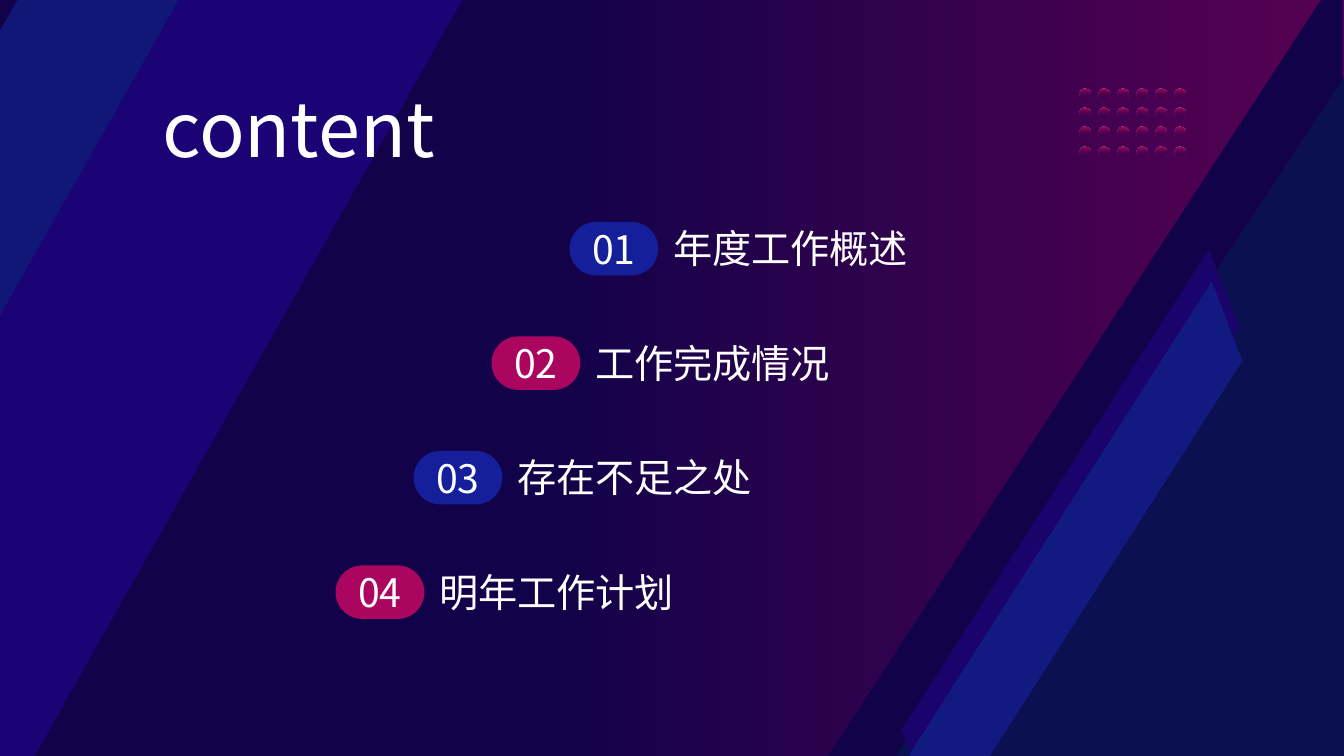
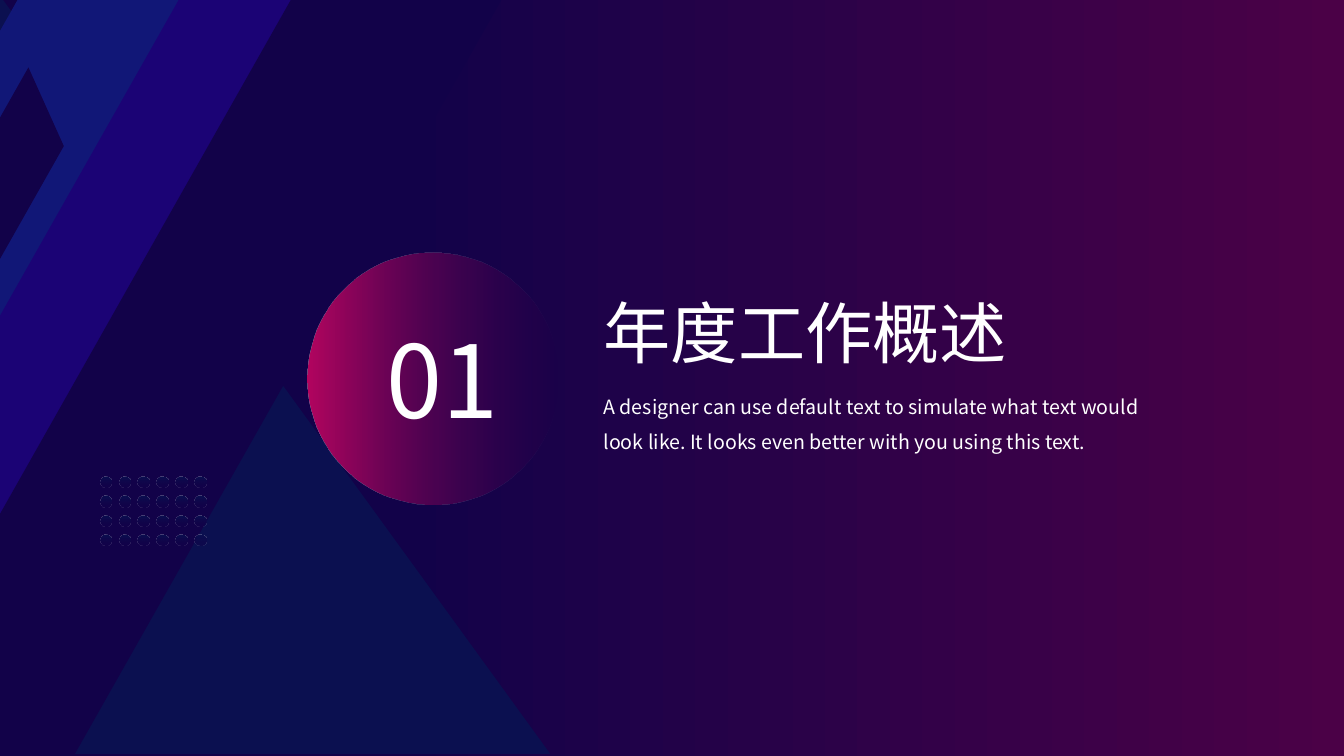
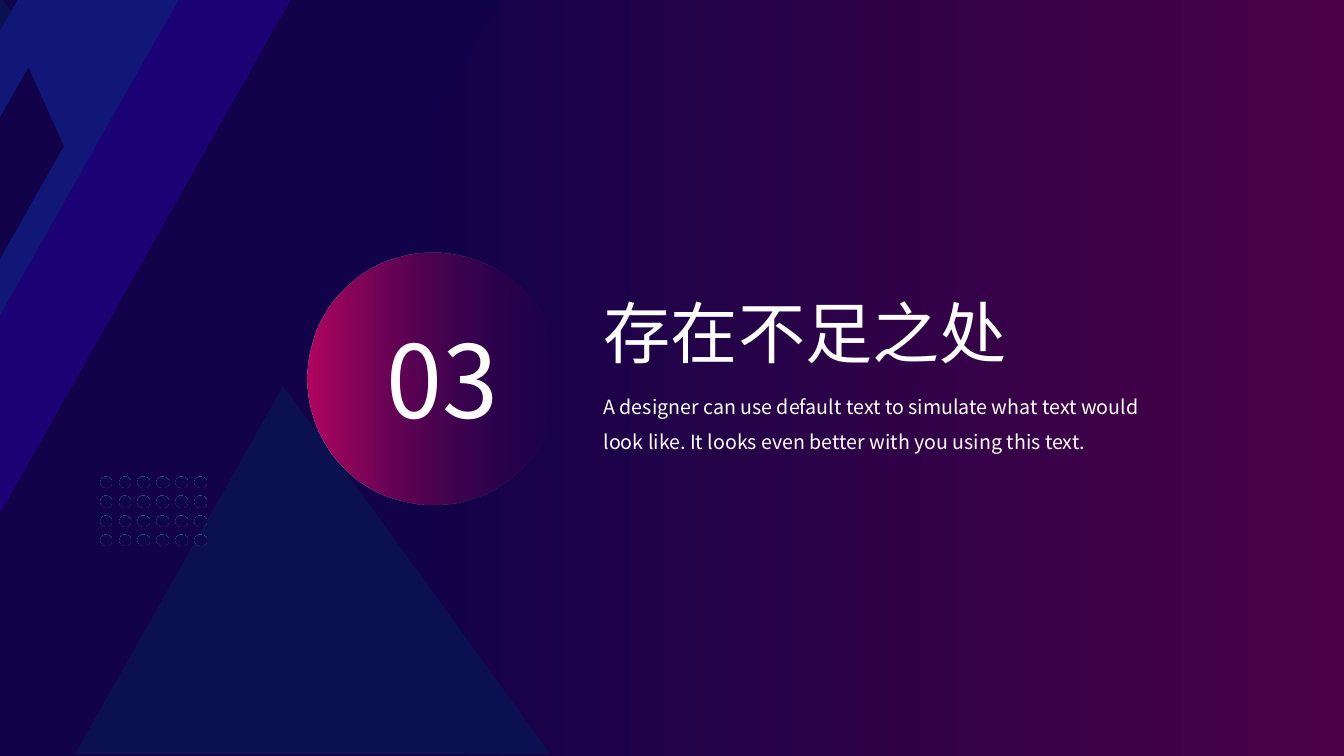
"""Build an agenda slide and two section slides for a yearly work report."""
from dataclasses import dataclass

from lxml import etree
from pptx import Presentation
from pptx.dml.color import RGBColor
from pptx.enum.shapes import MSO_SHAPE
from pptx.enum.text import MSO_ANCHOR, MSO_AUTO_SIZE, PP_ALIGN
from pptx.oxml.ns import qn
from pptx.util import Pt

RECT = MSO_SHAPE.RECTANGLE
PILL = MSO_SHAPE.ROUNDED_RECTANGLE
OVAL = MSO_SHAPE.OVAL
WEDGE = MSO_SHAPE.RIGHT_TRIANGLE
SLANT = MSO_SHAPE.PARALLELOGRAM
LEFT, CENTER = PP_ALIGN.LEFT, PP_ALIGN.CENTER
TOP, MIDDLE = MSO_ANCHOR.TOP, MSO_ANCHOR.MIDDLE
GROW = MSO_AUTO_SIZE.SHAPE_TO_FIT_TEXT


@dataclass(frozen=True)
class Theme:
    font: str = "Noto Sans CJK SC"
    white: str = "FFFFFF"
    night: str = "120249"
    navy: str = "0B1050"
    steel: str = "111777"
    violet: str = "1B0375"
    plum: str = "1A036B"
    cobalt: str = "121981"
    blue: str = "151F9B"
    pink: str = "AB065F"
    rose: str = "B30660"
    wine: str = "570152"
    mauve: str = "4B0147"
    head: int = 54
    section: int = 48
    number: int = 72
    item: int = 28
    body: int = 14


T = Theme()

HEAD = "content"
ITEMS = ["年度工作概述", "工作完成情况", "存在不足之处", "明年工作计划"]
SECTIONS = [0, 2]
NOTE = ("A designer can use default text to simulate what text would look like. "
        "It looks even better with you using this text.")

TILT = 29.5
SKEW = 0.734
BANDS = [
    ((-120.2, -136.8, 176.4, 789.1), T.steel),
    ((-23, -105.1, 176.4, 789.1), T.violet),
]
MASK = ((50.4, -121.7, 131, 833.8), T.night)
BARS = [
    ((542.9, 353.5, 443.5, 49), T.plum),
    ((545, 376.6, 443.5, 49), T.cobalt),
]
DOT, ROWS, COLS = 8, 4, 6
DOT_DX, DOT_DY = 13.54, 13.75


def tint(fill, stops, angle=0):
    fill.gradient()
    fill.gradient_angle = angle
    for stop, (place, color, _) in zip(fill.gradient_stops, stops):
        stop.position = place / 100
        stop.color.rgb = RGBColor.from_string(color)


def draw(shapes, kind, box, fill, turn=0, adj=None, flip=False, angle=0):
    shape = shapes.add_shape(kind, *map(Pt, box))
    shape.shadow.inherit = False
    shape.line.fill.background()
    shape.rotation = turn
    if adj is not None:
        shape.adjustments[0] = adj
    if flip:
        shape.element.spPr.find(qn("a:xfrm")).set("flipH", "1")
    if isinstance(fill, str):
        shape.fill.solid()
        shape.fill.fore_color.rgb = RGBColor.from_string(fill)
        return shape
    tint(shape.fill, fill, angle)
    for node, (_, _, alpha) in zip(shape.element.iter(qn("a:srgbClr")), fill):
        if alpha < 100:
            etree.SubElement(node, qn("a:alpha")).set("val", str(alpha * 1000))
    return shape


def write(shape, text, size, align=LEFT, anchor=TOP, spacing=None, grow=True):
    frame = shape.text_frame
    frame.word_wrap = True
    frame.vertical_anchor = anchor
    if grow:
        frame.auto_size = GROW
    para = frame.paragraphs[0]
    para.alignment = align
    if spacing:
        para.line_spacing = spacing
    run = para.add_run()
    run.text = text
    run.font.size = Pt(size)
    run.font.name = T.font
    run.font.color.rgb = RGBColor.from_string(T.white)
    props = run.font._element
    latin = props.find(qn("a:latin"))
    east = etree.Element(qn("a:ea"), typeface=T.font)
    latin.addnext(east)


def label(shapes, box, text, size, **style):
    write(shapes.add_textbox(*map(Pt, box)), text, size, **style)


def title(slide, box, text, size):
    shape = slide.shapes.title
    shape.left, shape.top, shape.width, shape.height = map(Pt, box)
    slide.shapes.element.append(shape.element)
    write(shape, text, size)


def start(deck, stops):
    slide = deck.slides.add_slide(deck.slide_layouts[5])
    tint(slide.background.fill, stops)
    return slide


def stripes(slide, bands):
    group = slide.shapes.add_group_shape().shapes
    for box, color in bands:
        draw(group, RECT, box, color, turn=TILT)
    return group


def dots(slide, left, top, stops):
    group = slide.shapes.add_group_shape().shapes
    for row in range(ROWS):
        for col in range(COLS):
            box = (left + col * DOT_DX, top + row * DOT_DY, DOT, DOT)
            draw(group, OVAL, box, stops, angle=90)


def agenda(deck):
    slide = start(deck, [(40, T.night, 100), (100, T.wine, 100)])
    draw(slide.shapes, WEDGE, (591.1, -23.8, 367.9, 564.5), T.night, flip=True)
    stripes(slide, BANDS)
    draw(slide.shapes, WEDGE, (638.6, 54.7, 321.8, 487.4), T.navy, flip=True)
    group = slide.shapes.add_group_shape().shapes
    for box, color in BARS:
        draw(group, SLANT, box, color, turn=302.6, adj=SKEW)
    dots(slide, 771, 63.2, [(0, T.night, 0), (100, T.rose, 100)])
    title(slide, (108.7, 54.7, 337, 72.7), HEAD, T.head)
    for i, item in enumerate(ITEMS):
        left, top = 406.8 - i * 55.7, 158.5 + i * 81.8
        group = slide.shapes.add_group_shape().shapes
        color = (T.blue, T.pink)[i % 2]
        pill = draw(group, PILL, (left, top, 63.4, 38.2), color, adj=0.5)
        write(pill, f"{i + 1:02}", T.item, align=CENTER, anchor=MIDDLE, grow=False)
        label(group, (left + 67, top - 1.8, 192.2, 41.2), item, T.item)


def section(deck, index):
    slide = start(deck, [(30, T.night, 100), (100, T.mauve, 100)])
    draw(slide.shapes, WEDGE, (-16.6, -25.9, 409.7, 564.5), T.navy)
    group = stripes(slide, BANDS + [MASK])
    draw(group, SLANT, (-357.8, 268.6, 535.7, 49.7), T.night, turn=299.5, adj=SKEW)
    dots(slide, 71.5, 340.5, [(0, T.night, 36), (100, T.navy, 100)])
    group = slide.shapes.add_group_shape().shapes
    draw(group, OVAL, (219.6, 180.6, 179.6, 179.6), [(0, T.rose, 100), (100, T.wine, 0)])
    label(group, (253.4, 223.2, 125.3, 94.3), f"{index + 1:02}", T.number, align=CENTER)
    title(slide, (424, 204.5, 314, 65.5), ITEMS[index], T.section)
    label(slide.shapes, (424, 270, 427, 55.4), NOTE, T.body, spacing=1.5)


def main():
    deck = Presentation()
    deck.slide_width, deck.slide_height = Pt(960), Pt(540)
    agenda(deck)
    for index in SECTIONS:
        section(deck, index)
    deck.save("out.pptx")


if __name__ == "__main__":
    main()
